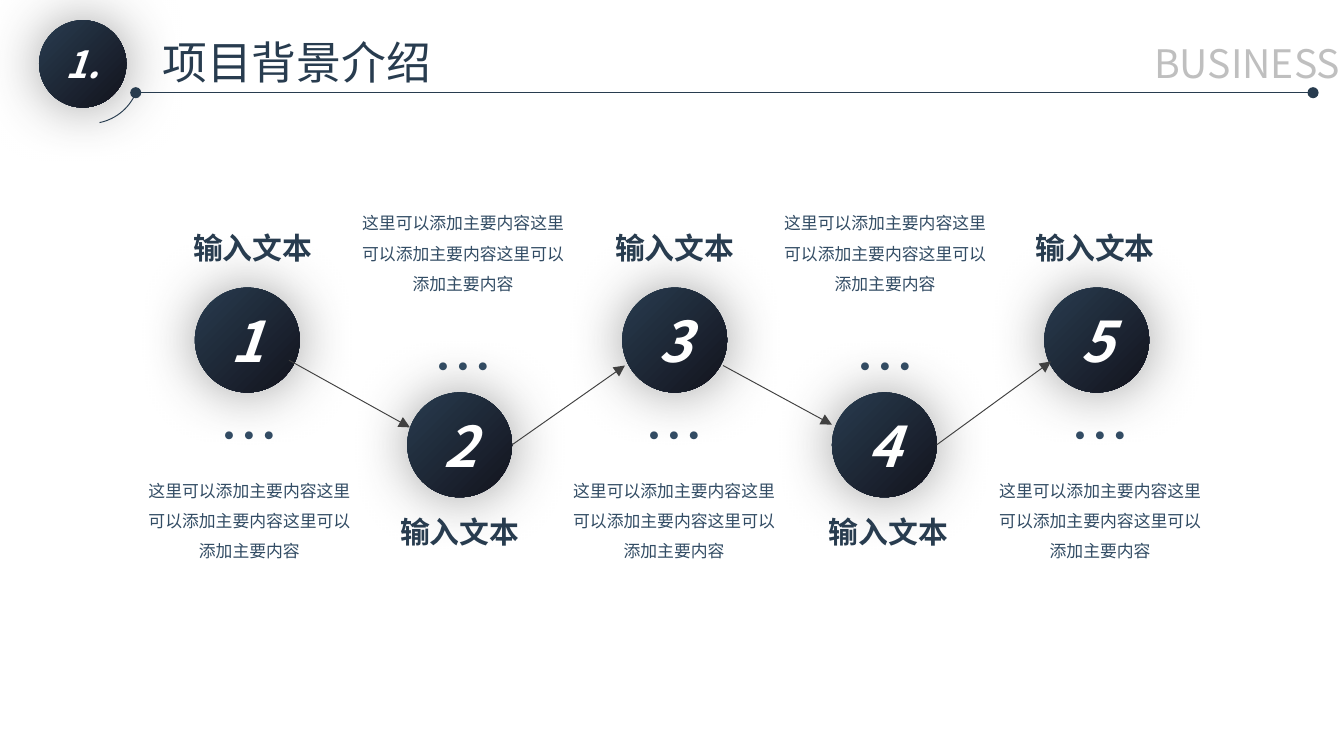
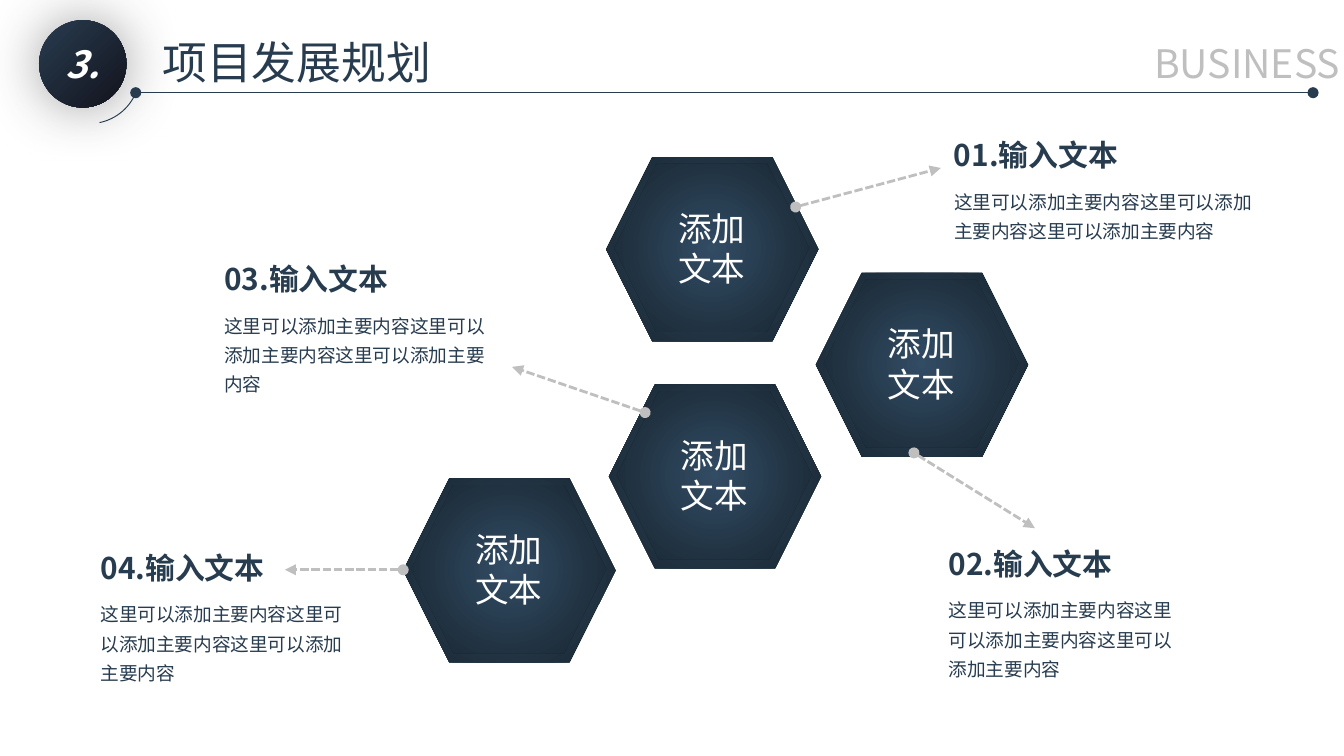
import dataclasses

import pptx
import pptx.dml.color
import pptx.enum.dml
import pptx.enum.shapes
import pptx.enum.text
import pptx.oxml
import pptx.oxml.ns
import pptx.util
from lxml import etree

SCALE = 9144
SHAPE = pptx.enum.shapes.MSO_SHAPE
ALIGN = pptx.enum.text.PP_ALIGN
DOTS = "…"
BODY = "这里可以添加主要内容" * 3
LABEL = "输入文本"


@dataclasses.dataclass(frozen=True)
class Theme:
    """Colours, font and type sizes of the deck."""
    font: str = "Noto Sans CJK SC"
    navy: str = "283C4F"
    night: str = "13131D"
    steel: str = "324C64"
    deep: str = "17242F"
    dark: str = "404040"
    grey: str = "BFBFBF"
    white: str = "FFFFFF"
    title: int = 24
    brand: int = 21
    badge: int = 20
    digit: int = 30
    dots: int = 32
    cell: int = 18
    label: int = 16
    body: int = 10
    note: int = 9


THEME = Theme()


def px(*vals):
    """Turn px lengths into EMU."""
    return [pptx.util.Emu(val * SCALE) for val in vals]


def rgb(code):
    """Turn a hex code into a colour."""
    return pptx.dml.color.RGBColor.from_string(code)


def node(root, tag, **attrs):
    """Add a drawing element to root."""
    return etree.SubElement(root, pptx.oxml.ns.qn("a:" + tag), attrs)


def write(frame, lines, color, bold=False, ital=False, align=ALIGN.LEFT, space=None):
    """Fill a frame with (text, size) lines."""
    for i, (text, size) in enumerate(lines):
        para = frame.add_paragraph() if i else frame.paragraphs[0]
        para.alignment = align
        if space:
            para.line_spacing = space
        run = para.add_run()
        run.text = text
        font = run.font
        font.name, font.size = THEME.font, pptx.util.Pt(size)
        font.bold, font.italic = bold, ital
        font.color.rgb = rgb(color)
        node(run.font._element, "ea", typeface=THEME.font)


def text(shapes, box, lines, color, wrap=True, inset=(10, 5), middle=False, **style):
    """Place a text box that grows with its lines."""
    frame = shapes.add_textbox(*px(*box)).text_frame
    frame.word_wrap = wrap
    frame.auto_size = pptx.enum.text.MSO_AUTO_SIZE.SHAPE_TO_FIT_TEXT
    frame.margin_left = frame.margin_right = px(inset[0])[0]
    frame.margin_top = frame.margin_bottom = px(inset[1])[0]
    if middle:
        frame.vertical_anchor = pptx.enum.text.MSO_ANCHOR.MIDDLE
    write(frame, lines, color, **style)


def blend(shapes, kind, box, colors, radial=False):
    """Place a borderless shape with a two-colour gradient."""
    shape = shapes.add_shape(kind, *px(*box))
    shape.shadow.inherit = False
    shape.line.fill.background()
    shape.fill.gradient()
    for stop, color in zip(shape.fill.gradient_stops, colors):
        stop.color.rgb = rgb(color)
    if radial:
        grad = shape._element.spPr.find(pptx.oxml.ns.qn("a:gradFill"))
        lin = grad.find(pptx.oxml.ns.qn("a:lin"))
        way = node(grad, "path", path="circle")
        node(way, "fillToRect", l="50000", t="50000", r="50000", b="50000")
        grad.remove(lin)
    else:
        shape.fill.gradient_angle = 315
    shape.text_frame.vertical_anchor = pptx.enum.text.MSO_ANCHOR.MIDDLE
    return shape


def disc(shapes, box, mark, size):
    """Place a glowing disc with a number."""
    shape = blend(shapes, SHAPE.OVAL, box, (THEME.navy, THEME.night))
    glow = shape._element.spPr.find(pptx.oxml.ns.qn("a:effectLst"))
    cast = node(glow, "outerShdw", blurRad="381000", dist="0", dir="0",
                algn="ctr", rotWithShape="0")
    node(node(cast, "srgbClr", val=THEME.dark), "alpha", val="50000")
    write(shape.text_frame, [(mark, size)], THEME.white, True, True, ALIGN.CENTER)


def link(shapes, ends, color, width=0.5, head=None, tail="triangle", dash=False):
    """Draw a straight line with end marks."""
    wire = shapes.add_connector(pptx.enum.shapes.MSO_CONNECTOR.STRAIGHT, *px(*ends))
    wire.line.color.rgb = rgb(color)
    wire.line.width = pptx.util.Pt(width)
    if dash:
        wire.line.dash_style = pptx.enum.dml.MSO_LINE.SQUARE_DOT
    line = wire.line._get_or_add_ln()
    if head:
        node(line, "headEnd", type=head)
    node(line, "tailEnd", type=tail)
    node(wire._element.spPr, "effectLst")


def header(slide, box, mark, title):
    """Draw the badge, title, rule and brand word."""
    x, y, w, h = box
    shapes = slide.shapes
    disc(shapes, (x, y, 65, 65), mark, THEME.badge)
    text(shapes, (x + 82, y + 6, 222, 50), [(title, THEME.title)], THEME.navy, wrap=False)
    group = shapes.add_group_shape().shapes
    link(group, (x + 72, y + 54, x + w, y + 54), THEME.navy, head="oval", tail="oval")
    arc = group.add_shape(SHAPE.ARC, *px(x, y + h - 75, 75, 75))
    arc.shadow.inherit = False
    arc.fill.background()
    arc.line.color.rgb = rgb(THEME.navy)
    arc.line.width = pptx.util.Pt(0.5)
    arc.adjustments[0], arc.adjustments[1] = 13.98, 47.04
    text(shapes, (x + w - 128, y + 9, 160, 45), [("BUSINESS", THEME.brand)],
         THEME.grey, wrap=False)


def flow(slide, box):
    """Draw five steps in a zigzag, joined by arrows."""
    x, y, w, h = box
    shapes = slide.shapes
    steps = [(58, 24, 0), (216, 178, 159), (376, 338, 316), (532, 497, 473), (690, 651, 633)]
    for i, (ball, name, note) in enumerate(steps):
        low = i % 2
        lines = [(DOTS, THEME.dots), (BODY, THEME.note)]
        top, tall = (0, 190) if low else (h - 167, 167)
        text(shapes, (x + note, y + top, 197, tall), lines[::-1] if low else lines,
             THEME.steel, inset=(18, 9), align=ALIGN.CENTER, space=1.5)
        disc(shapes, (x + ball, y + 72 + 78 * low, 78, 78), str(i + 1), THEME.digit)
        text(shapes, (x + name, y + 29 + 211 * low, 154, 27), [(LABEL, THEME.label)],
             THEME.navy, inset=(18, 0), middle=True, bold=True, align=ALIGN.CENTER)
    for x1, y1, x2, y2 in [(128, 126, 218, 176), (294, 189, 378, 130),
                           (451, 130, 532, 174), (610, 189, 695, 127)]:
        link(shapes, (x + x1, y + y1, x + x2, y + y2), THEME.dark)


def cell(slide, box):
    """Draw a double hexagon with two words."""
    x, y, w, h = box
    group = slide.shapes.add_group_shape().shapes
    tones = (THEME.steel, THEME.deep)
    blend(group, SHAPE.HEXAGON, box, tones, True)
    core = blend(group, SHAPE.HEXAGON, (x + 6, y + 5, w - 13, h - 12), tones, True)
    write(core.text_frame, [("添加", THEME.cell), ("文本", THEME.cell)],
          THEME.white, align=ALIGN.CENTER)


def tip(slide, box, mark):
    """Write a numbered heading above its body."""
    x, y, w, h = box
    group = slide.shapes.add_group_shape().shapes
    text(group, (x, y + 35, w, h - 35), [(BODY, THEME.body)], THEME.navy, space=1.3)
    text(group, (x, y, 210, 37), [(mark + LABEL, THEME.label)], THEME.navy, bold=True)


def hive(slide, box):
    """Draw four hexagons, each linked to its tip."""
    x, y, w, h = box
    plan = [
        ((386, 20), (527, 57, 635, 28), (635, 0, 249, 87)),
        ((542, 106), (615, 240, 705, 296), (631, 304, 191, 111)),
        ((388, 189), (415, 210, 316, 176), (92, 92, 217, 111)),
        ((235, 259), (235, 327, 147, 327), (0, 307, 210, 111)),
    ]
    for i, (hexa, (x1, y1, x2, y2), note) in enumerate(plan, 1):
        cell(slide, (x + hexa[0], y + hexa[1], 158, 137))
        link(slide.shapes, (x + x1, y + y1, x + x2, y + y2), THEME.grey, 1.5,
             head="oval", dash=True)
        tip(slide, (x + note[0], y + note[1], *note[2:]), f"{i:02}.")


def main():
    """Build and save both slides."""
    deck = pptx.Presentation()
    deck.slide_width = px(1000)[0]
    deck.slide_height = pptx.util.Emu(deck.slide_width * 9 // 16)
    pages = [("1.", "项目背景介绍", flow, (87, 142, 830, 286)),
             ("3.", "项目发展规划", hive, (65, 97, 884, 418))]
    for mark, title, draw, box in pages:
        slide = deck.slides.add_slide(deck.slide_layouts[6])
        header(slide, (29, 15, 948, 77), mark, title)
        draw(slide, box)
    deck.save("out.pptx")


if __name__ == "__main__":
    main()
